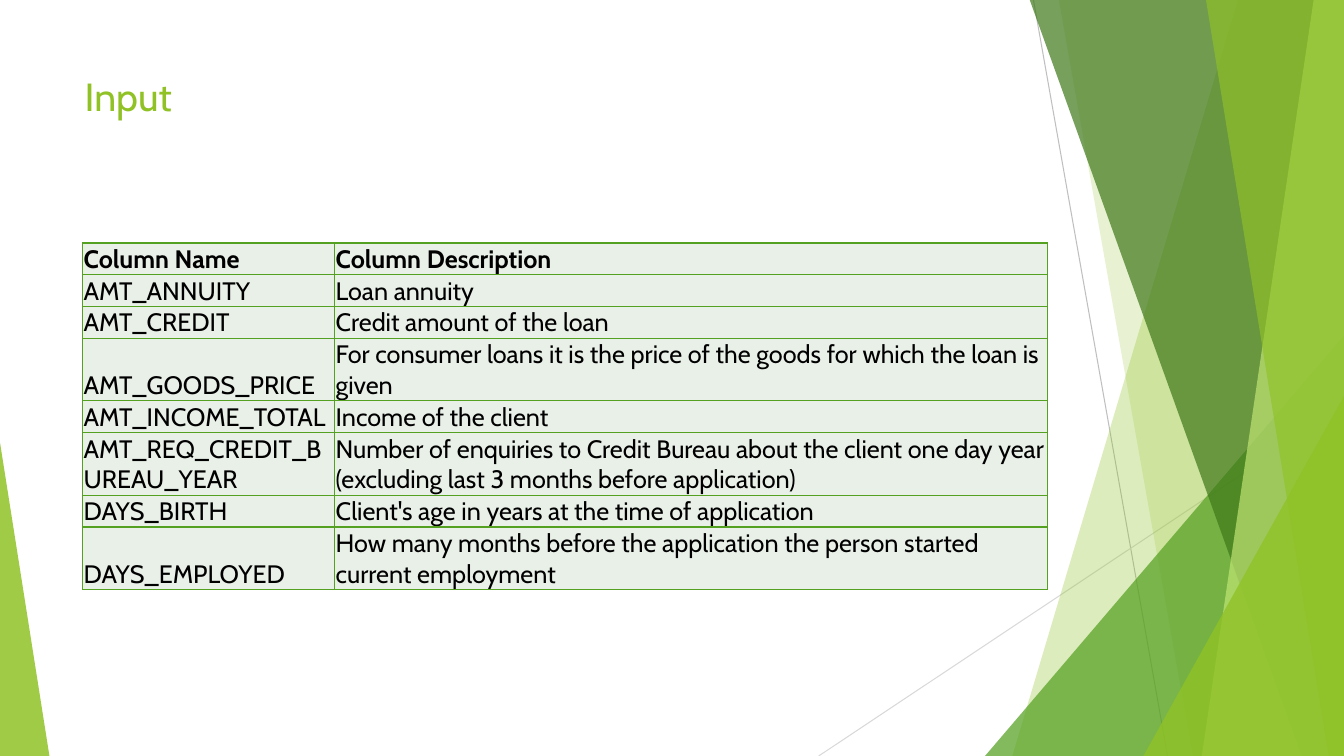
from dataclasses import dataclass

from lxml import etree
from pptx import Presentation
from pptx import util as u
from pptx.dml.color import RGBColor
from pptx.enum import shapes as sh, text as tx
from pptx.oxml.ns import qn

FONT = "Cabin"
HUES = {
    "lime": "90C226", "green": "54A021", "dark": "3F7819", "pale": "C0E474",
    "gray": "BFBFBF", "mist": "D9D9D9", "cell": "E9F0E8", "ink": "000000",
}
WIDE, HIGH, TOP = 13.33, 7.5, -0.01


@dataclass
class Ray:
    start: tuple[float, float]
    end: tuple[float, float]
    hue: str


@dataclass
class Shard:
    """A band along the right edge, slanting from head (top) to foot (bottom)."""
    head: float
    foot: float
    hue: str
    alpha: int


@dataclass
class Peak:
    """A right triangle on the slide's bottom edge; apex is 0 (left) or 1 (right)."""
    left: float
    top: float
    width: float
    apex: int
    hue: str
    alpha: int


RAYS = [
    Ray((10.25, 0), (11.58, HIGH), "gray"),
    Ray((WIDE, 4.03), (8.12, HIGH), "mist"),
]
FACETS = [
    Shard(12.28, 10.04, "lime", 30),
    Shard(10.5, 11.83, "lime", 20),
    Peak(9.77, 3.33, 3.56, 1, "green", 72),
    Shard(10.21, 12.91, "dark", 70),
    Shard(13.03, 11.92, "pale", 70),
    Shard(11.96, 13.18, "lime", 65),
    Peak(11.34, 3.93, 1.99, 1, "lime", 80),
    Peak(0, 4.39, 0.49, 0, "lime", 85),
]
ROWS = [
    ("Column Name", "Column Description"),
    ("AMT_ANNUITY", "Loan annuity"),
    ("AMT_CREDIT", "Credit amount of the loan"),
    ("AMT_GOODS_PRICE",
     "For consumer loans it is the price of the goods for which the loan is given"),
    ("AMT_INCOME_TOTAL", "Income of the client"),
    ("AMT_REQ_CREDIT_BUREAU_YEAR",
     "Number of enquiries to Credit Bureau about the client one day year "
     "(excluding last 3 months before application)"),
    ("DAYS_BIRTH", "Client's age in years at the time of application"),
    ("DAYS_EMPLOYED",
     "How many months before the application the person started current employment"),
]
COLS = (2.5, 7.07)


def color(hue: str) -> RGBColor:
    return RGBColor.from_string(HUES[hue])


def add_run(para, words: str, size: float, hue: str, bold: bool = False) -> None:
    run = para.add_run()
    run.text = words
    font = run.font
    font.name, font.size, font.bold = FONT, u.Pt(size), bold
    font.color.rgb = color(hue)


def draw_ray(slide, ray: Ray) -> None:
    ends = [u.Inches(n) for n in (*ray.start, *ray.end)]
    line = slide.shapes.add_connector(sh.MSO_CONNECTOR.STRAIGHT, *ends)
    line.line.color.rgb = color(ray.hue)
    line.line.width = u.Pt(0.75)
    etree.SubElement(line._element.spPr, qn("a:effectLst"))


def draw_facet(slide, facet: Shard | Peak) -> None:
    if isinstance(facet, Peak):
        box = (facet.left, facet.top, facet.width, HIGH - facet.top)
        form = slide.shapes.add_shape(
            sh.MSO_SHAPE.ISOSCELES_TRIANGLE, *[u.Inches(n) for n in box])
        form.adjustments[0] = facet.apex
    else:
        spots = [(facet.head, TOP), (WIDE, TOP), (WIDE, HIGH), (facet.foot, HIGH)]
        spots = [(u.Inches(x), u.Inches(y)) for x, y in spots]
        pen = slide.shapes.build_freeform(*spots[0])
        pen.add_line_segments(spots[1:], close=True)
        form = pen.convert_to_shape()
    form.shadow.inherit = False
    form.line.fill.background()
    form.fill.solid()
    form.fill.fore_color.rgb = color(facet.hue)
    tint = form._element.spPr.find(qn("a:solidFill"))[0]
    etree.SubElement(tint, qn("a:alpha"), val=str(facet.alpha * 1000))


def add_edges(cell) -> None:
    props = cell._tc.get_or_add_tcPr()
    for side in "LRTB":
        edge = etree.SubElement(props, qn(f"a:ln{side}"), w=str(u.Pt(1)))
        fill = etree.SubElement(edge, qn("a:solidFill"))
        etree.SubElement(fill, qn("a:srgbClr"), val=HUES["green"])


def fill_cell(cell, words: str, bold: bool) -> None:
    add_edges(cell)
    cell.fill.solid()
    cell.fill.fore_color.rgb = color("cell")
    cell.vertical_anchor = tx.MSO_ANCHOR.BOTTOM
    cell.margin_left = cell.margin_right = cell.margin_top = u.Inches(0.01)
    cell.margin_bottom = 0
    add_run(cell.text_frame.paragraphs[0], words, 18, "ink", bold)


def draw_table(slide) -> None:
    frame = slide.shapes.add_table(
        len(ROWS), len(COLS), u.Inches(0.82), u.Inches(2.41),
        u.Inches(sum(COLS)), u.Inches(1.66))
    table = frame.table
    table.horz_banding = False
    for col, width in zip(table.columns, COLS):
        col.width = u.Inches(width)
    for i, (row, texts) in enumerate(zip(table.rows, ROWS)):
        row.height = u.Inches(0.2 if i else 0.26)
        for cell, words in zip(row.cells, texts):
            fill_cell(cell, words, bold=i == 0)


def set_title(slide, words: str) -> None:
    title = slide.shapes.title
    title.left, title.top = u.Inches(0.74), u.Inches(0.67)
    title.width, title.height = u.Inches(9.4), u.Inches(1.44)
    frame = title.text_frame
    frame.auto_size = tx.MSO_AUTO_SIZE.NONE
    frame.vertical_anchor = tx.MSO_ANCHOR.TOP
    para = frame.paragraphs[0]
    para.alignment = tx.PP_ALIGN.LEFT
    add_run(para, words, 28, "lime")


def main() -> None:
    deck = Presentation()
    deck.slide_width, deck.slide_height = u.Inches(WIDE), u.Inches(HIGH)
    slide = deck.slides.add_slide(deck.slide_layouts[5])
    for ray in RAYS:
        draw_ray(slide, ray)
    for facet in FACETS:
        draw_facet(slide, facet)
    set_title(slide, "Input")
    draw_table(slide)
    deck.save("out.pptx")


if __name__ == "__main__":
    main()
